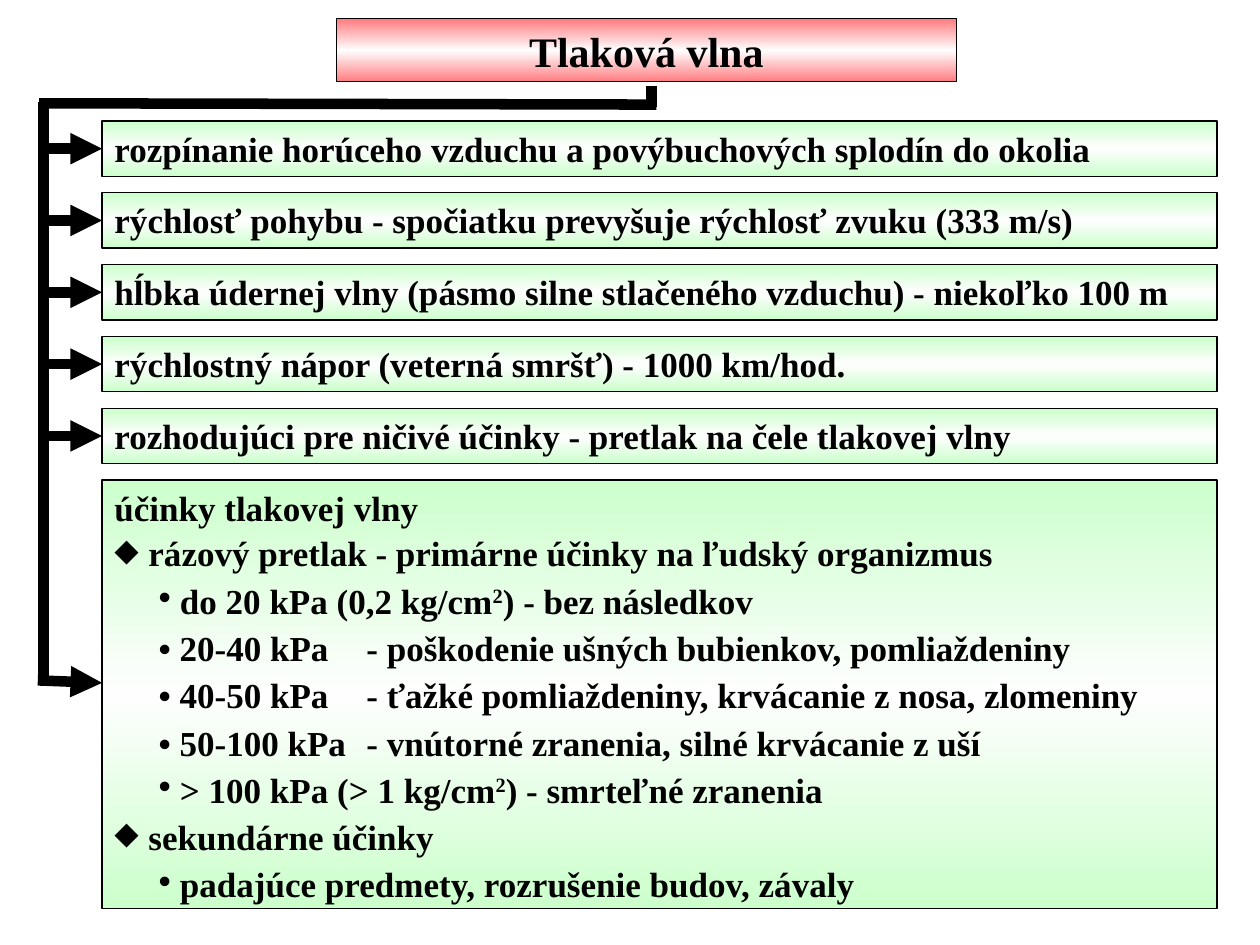
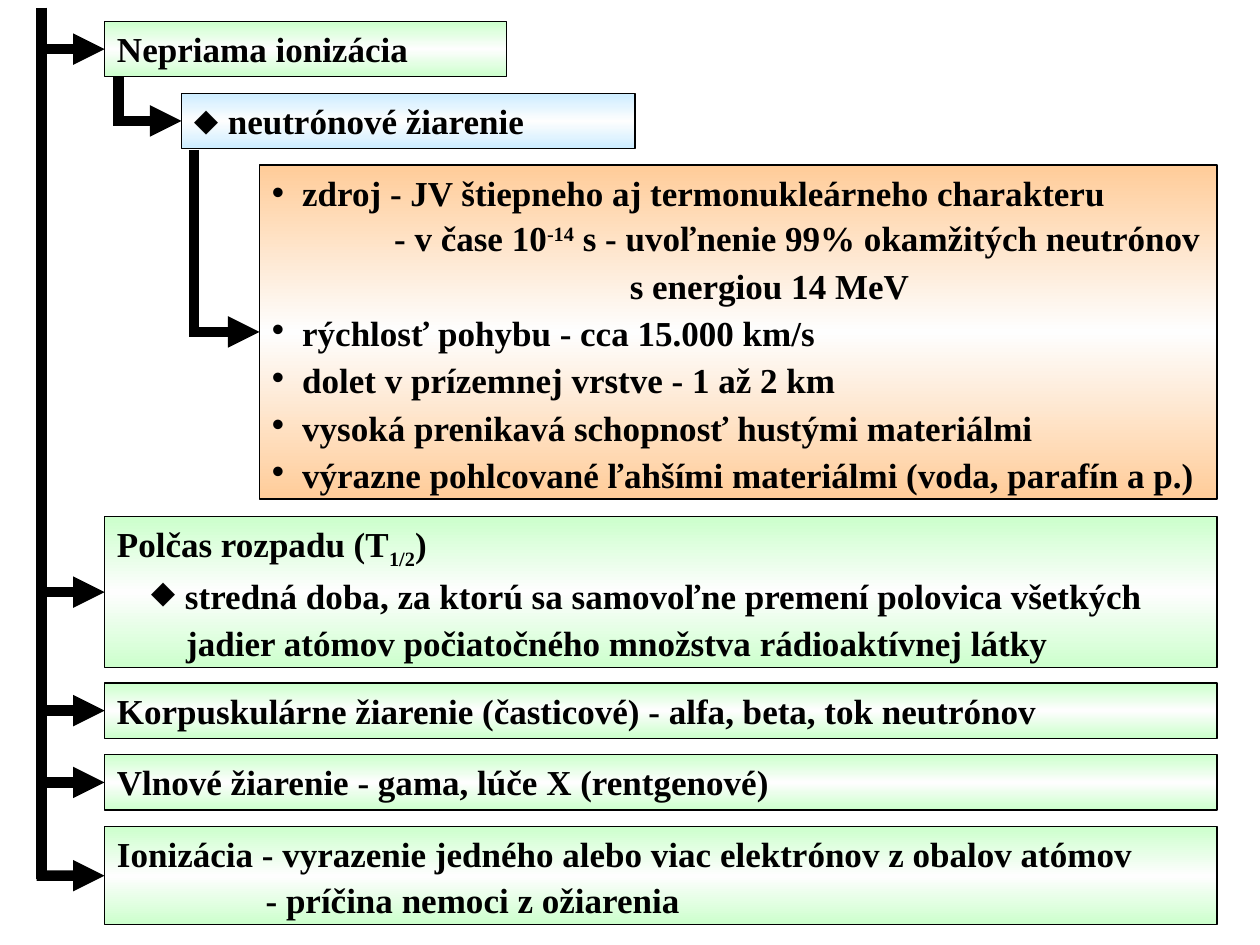
from copy import deepcopy
from dataclasses import dataclass

from lxml import etree
from pptx import Presentation
from pptx.dml.color import RGBColor
from pptx.enum import shapes, text
from pptx.oxml.ns import qn
from pptx.util import Inches, Pt

FONT = "Times New Roman"
BULLET_FONT = "Arial"
BLACK, MIDDLE = "000000", "FEFEFE"
RED, GREEN, BLUE, ORANGE = "FF7C80", "CCFFCC", "CCECFF", "FFCC99"
ROW_HEIGHT, ROW_STEP = 0.44, 0.57
RIGHT_EDGE = 9.66
DIAMOND, DOT = "⬥", "•"


@dataclass(frozen=True)
class Layout:
    """Horizontal placement of a paragraph, in inches."""
    margin: float = 0
    first: float = 0
    bullet: str = ""
    tab: float = 0


@dataclass(frozen=True)
class Line:
    """A paragraph; pieces starting with ^ are raised, with _ lowered."""
    pieces: tuple[str, ...]
    layout: Layout = Layout()


@dataclass(frozen=True)
class Box:
    left: float
    top: float
    width: float
    height: float
    lines: tuple[Line, ...]
    color: str = GREEN
    size: int = 20
    centered: bool = False


PLAIN = Layout()
TOPIC = Layout(0.27, -0.27, DIAMOND)
DETAIL = Layout(0.52, -0.17, DOT)
DETAIL_COLUMNS = Layout(first=0.35, tab=2.25)
FACT = Layout(0.24, -0.24, DOT)
DEFINITION = Layout(0.54, -0.27, DIAMOND)


def line(*pieces: str, layout: Layout = PLAIN) -> Line:
    return Line(pieces, layout)


def rgb(color: str) -> RGBColor:
    return RGBColor.from_string(color)


def add_child(parent, tag: str, **attributes: str):
    return etree.SubElement(parent, qn(tag), attributes)


def set_band_fill(shape, color: str) -> None:
    """Vertical gradient: colour, near white, colour."""
    shape.fill.gradient()
    shape.fill.gradient_angle = 90
    outer, middle = shape.fill.gradient_stops
    outer.color.rgb, outer.position = rgb(color), 0
    middle.color.rgb, middle.position = rgb(MIDDLE), 0.5
    stop_list = outer._gs.getparent()
    stop_list.append(deepcopy(outer._gs))
    shape.fill.gradient_stops[2].position = 1


def write_line(paragraph, content: Line, size: int, is_first: bool) -> None:
    layout = content.layout
    properties = paragraph._p.get_or_add_pPr()
    properties.set("marL", str(Inches(layout.margin)))
    properties.set("indent", str(Inches(layout.first)))
    if layout.bullet:
        add_child(properties, "a:buFont", typeface=BULLET_FONT)
        add_child(properties, "a:buChar", char=layout.bullet)
    else:
        add_child(properties, "a:buNone")
    if layout.tab:
        tabs = add_child(properties, "a:tabLst")
        add_child(tabs, "a:tab", pos=str(Inches(layout.tab)), algn="l")
    if not is_first:
        paragraph.line_spacing = 0.5
        paragraph.space_before, paragraph.space_after = Pt(12.5), Pt(2.5)
    font = paragraph.font
    font.name, font.size, font.bold = FONT, Pt(size), True
    font.color.rgb = rgb(BLACK)
    for piece in content.pieces:
        run = paragraph.add_run()
        run.text = piece.lstrip("^_")
        if piece[0] in "^_":
            baseline = "30000" if piece[0] == "^" else "-25000"
            run._r.get_or_add_rPr().set("baseline", baseline)


def add_box(slide, box: Box):
    shape = slide.shapes.add_shape(
        shapes.MSO_SHAPE.RECTANGLE, Inches(box.left), Inches(box.top),
        Inches(box.width), Inches(box.height))
    shape.shadow.inherit = False
    set_band_fill(shape, box.color)
    shape.line.color.rgb, shape.line.width = rgb(BLACK), Pt(0.75)
    frame = shape.text_frame
    frame.word_wrap = True
    frame.vertical_anchor = text.MSO_ANCHOR.TOP
    for index, content in enumerate(box.lines):
        paragraph = frame.add_paragraph() if index else frame.paragraphs[0]
        paragraph.alignment = (text.PP_ALIGN.CENTER if box.centered
                               else text.PP_ALIGN.LEFT)
        write_line(paragraph, content, box.size, index == 0)
    return shape


def add_link(slide, x1: float, y1: float, x2: float, y2: float,
             arrow: bool = False):
    connector = slide.shapes.add_connector(
        shapes.MSO_CONNECTOR.STRAIGHT,
        Inches(x1), Inches(y1), Inches(x2), Inches(y2))
    connector.line.color.rgb, connector.line.width = rgb(BLACK), Pt(6)
    if arrow:
        add_child(connector.line._get_or_add_ln(), "a:tailEnd", type="triangle")
    add_child(connector._element.spPr, "a:effectLst")
    return connector


def add_box_arrow(slide, start: float, box: Box, shape) -> None:
    """Level arrow to the middle of the box's left side."""
    middle = box.top + box.height / 2
    connector = add_link(slide, start, middle, box.left, middle, arrow=True)
    connector.end_connect(shape, 1)


def wide_box(left: float, top: float, *lines: Line,
             height: float = ROW_HEIGHT, color: str = GREEN) -> Box:
    """Box reaching the shared right edge."""
    return Box(left, top, RIGHT_EDGE - left, height, lines, color)


def build_pressure_wave(slide) -> None:
    left, first_top, trunk = 0.81, 0.96, 0.345
    add_box(slide, Box(2.67, 0.15, 4.92, 0.5, (line("Tlaková vlna"),),
                       RED, 24, True))

    # Properties of the wave
    statements = (
        "rozpínanie horúceho vzduchu a povýbuchových splodín do okolia",
        "rýchlosť pohybu - spočiatku prevyšuje rýchlosť zvuku (333 m/s)",
        "hĺbka údernej vlny (pásmo silne stlačeného vzduchu) - niekoľko 100 m",
        "rýchlostný nápor (veterná smršť) - 1000 km/hod.",
        "rozhodujúci pre ničivé účinky - pretlak na čele tlakovej vlny",
    )
    for index, statement in enumerate(statements):
        row = wide_box(left, first_top + index * ROW_STEP, line(statement))
        add_box_arrow(slide, 0.31, row, add_box(slide, row))

    # Effects of the wave
    add_box(slide, wide_box(
        left, first_top + len(statements) * ROW_STEP,
        line("účinky tlakovej vlny"),
        line("rázový pretlak - primárne účinky na ľudský organizmus",
             layout=TOPIC),
        line("do 20 kPa (0,2 kg/cm", "^2", ") - bez následkov", layout=DETAIL),
        line("• 20-40 kPa\t- poškodenie ušných bubienkov, pomliaždeniny",
             layout=DETAIL_COLUMNS),
        line("• 40-50 kPa\t- ťažké pomliaždeniny, krvácanie z nosa, zlomeniny",
             layout=DETAIL_COLUMNS),
        line("• 50-100 kPa\t- vnútorné zranenia, silné krvácanie z uší",
             layout=DETAIL_COLUMNS),
        line("> 100 kPa (> 1 kg/cm", "^2", ") - smrteľné zranenia",
             layout=DETAIL),
        line("sekundárne účinky", layout=TOPIC),
        line("padajúce predmety, rozrušenie budov, závaly", layout=DETAIL),
        height=3.4))

    # Trunk from the title down to the effects
    add_link(slide, 5.17, 0.68, 5.17, 0.85)
    add_link(slide, 5.21, 0.83, 0.31, 0.82)
    add_link(slide, trunk, 0.81, trunk, 5.42)
    add_link(slide, 0.3, 5.4, left, 5.42, arrow=True)


def build_ionisation(slide) -> None:
    left, trunk = 0.83, 0.33
    add_link(slide, trunk, 0.06, trunk, 6.98)

    # Nested chain: ionisation, radiation, facts
    indirect = Box(left, 0.17, 3.19, ROW_HEIGHT, (line("Nepriama ionizácia"),))
    neutrons = Box(1.44, 0.74, 3.6, ROW_HEIGHT,
                   (line("neutrónové žiarenie", layout=TOPIC),), BLUE)
    facts = wide_box(
        2.06, 1.31,
        line("zdroj - JV štiepneho aj termonukleárneho charakteru",
             layout=FACT),
        line("- v čase 10", "^-14", " s - uvoľnenie 99% okamžitých neutrónov",
             layout=Layout(0.97)),
        line("s energiou 14 MeV", layout=Layout(2.84)),
        line("rýchlosť pohybu - cca 15.000 km/s", layout=FACT),
        line("dolet v prízemnej vrstve - 1 až 2 km", layout=FACT),
        line("vysoká prenikavá schopnosť hustými materiálmi", layout=FACT),
        line("výrazne pohlcované ľahšími materiálmi (voda, parafín a p.)",
             layout=FACT),
        height=2.65, color=ORANGE)

    # Definitions
    half_life = wide_box(
        left, 4.1,
        line("Polčas rozpadu (T", "_1/2", ")"),
        line("stredná doba, za ktorú sa samovoľne premení polovica všetkých",
             layout=DEFINITION),
        line("jadier atómov počiatočného množstva rádioaktívnej látky",
             layout=Layout(0.55)),
        height=1.2)
    particles = wide_box(left, 5.42, line(
        "Korpuskulárne žiarenie (časticové) - alfa, beta, tok neutrónov"))
    waves = wide_box(left, 5.42 + ROW_STEP, line(
        "Vlnové žiarenie - gama, lúče X (rentgenové)"))
    ionisation = wide_box(
        left, 5.42 + 2 * ROW_STEP,
        line("Ionizácia - vyrazenie jedného alebo viac elektrónov z obalov "
             "atómov"),
        line("- príčina nemoci z ožiarenia", layout=Layout(1.18)),
        height=0.78)

    # Boxes with the start of the arrow that leads to each
    arrow_starts = ((indirect, 0.32), (neutrons, 0.9), (facts, 1.5),
                    (half_life, trunk), (particles, trunk), (waves, trunk),
                    (ionisation, 0.29))
    for box, start in arrow_starts:
        add_box_arrow(slide, start, box, add_box(slide, box))

    # Short trunks inside the chain
    add_link(slide, 0.94, 0.61, 0.94, 0.98)
    add_link(slide, 1.54, 1.19, 1.54, 2.65)


def main() -> None:
    presentation = Presentation()
    presentation.slide_width, presentation.slide_height = Inches(10), Inches(7.5)
    blank = presentation.slide_layouts[6]
    for build in (build_pressure_wave, build_ionisation):
        build(presentation.slides.add_slide(blank))
    presentation.save("out.pptx")


if __name__ == "__main__":
    main()
